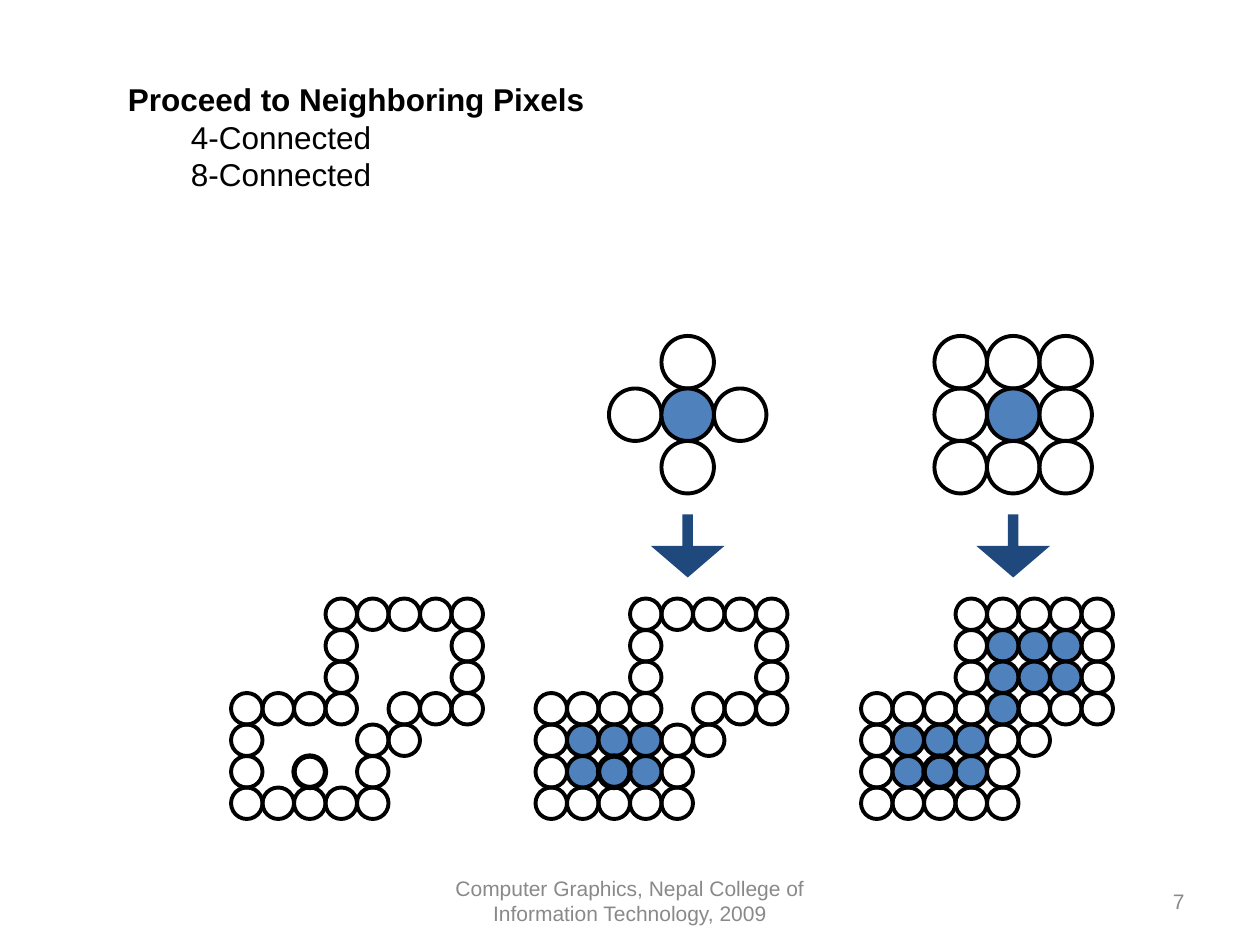
from dataclasses import dataclass
from itertools import product

from pptx import Presentation
from pptx import util as u
from pptx.dml.color import RGBColor
from pptx.enum import shapes, text

SCALE = 7620
CELL, STENCIL_CELL = 30, 50
REGION_TOP, STENCIL_TOP, ARROW_TOP = 570, 370, 490
SEED = (2, 5)
BOUNDARY_ROWS = (
    "...ooooo",
    "...o...o",
    "...o...o",
    "oooo.ooo",
    "o...oo..",
    "o...o...",
    "ooooo...",
)
BOUNDARY = [(column, row) for row, line in enumerate(BOUNDARY_ROWS)
            for column, mark in enumerate(line) if mark == "o"]
EIGHT_NEIGHBORS = [step for step in product((-1, 0, 1), repeat=2) if step != (0, 0)]
FOUR_NEIGHBORS = [step for step in EIGHT_NEIGHBORS if 0 in step]


@dataclass(frozen=True)
class Theme:
    """Colours, font, type sizes and line widths."""
    ink: str = "000000"
    muted: str = "898989"
    pixel: str = "4F81BD"
    arrow: str = "1F497D"
    font: str = "Arial"
    body_size: int = 18
    footer_size: int = 12
    outline: float = 2.25
    seed_outline: float = 3


def px(length):
    """Turn whole px into EMU."""
    return u.Emu(length * SCALE)


def apply(target, values):
    """Set each named attribute on the target."""
    for name, value in values.items():
        setattr(target, name, value)


def flood(neighbors):
    """Return the pixels reached from the seed inside the boundary."""
    reached, pending = {SEED}, [SEED]
    while pending:
        column, row = pending.pop()
        for across, down in neighbors:
            pixel = (column + across, row + down)
            if pixel not in reached and pixel not in BOUNDARY:
                reached.add(pixel)
                pending.append(pixel)
    return sorted(reached)


class SlideBuilder:
    """Draws themed elements on the current slide."""

    def __init__(self, slide, theme):
        """Keep the slide and its theme."""
        self.slide = slide
        self.theme = theme

    def text_box(self, box, lines, size, color, frame_format, alignment):
        """Add a text box of (wording, bold, indent) lines."""
        shape = self.slide.shapes.add_textbox(*map(px, box))
        frame = shape.text_frame
        apply(frame, {"word_wrap": True, **frame_format})
        for index, (wording, bold, indent) in enumerate(lines):
            paragraph = frame.add_paragraph() if index else frame.paragraphs[0]
            apply(paragraph, {"alignment": alignment, "level": int(indent > 0)})
            paragraph._p.get_or_add_pPr().set("marL", str(px(indent)))
            run = paragraph.add_run()
            run.text = wording
            apply(run.font, {"name": self.theme.font, "size": u.Pt(size), "bold": bold})
            run.font.color.rgb = RGBColor.from_string(color)

    def shape(self, kind, box, fill=None, outline=None):
        """Add a preset shape with an optional fill and outline."""
        shape = self.slide.shapes.add_shape(kind, *map(px, box))
        shape.shadow.inherit = False
        for paint, color in ((shape.fill, fill), (shape.line.fill, outline and self.theme.ink)):
            if color:
                paint.solid()
                paint.fore_color.rgb = RGBColor.from_string(color)
            else:
                paint.background()
        if outline:
            shape.line.width = u.Pt(outline)
        return shape

    def circles(self, left, top, size, cells, fill=None, outline=None):
        """Add one circle for each (column, row) cell."""
        for column, row in cells:
            box = (left + column * size, top + row * size, size, size)
            self.shape(shapes.MSO_SHAPE.OVAL, box, fill, outline or self.theme.outline)

    def stencil(self, left, neighbors):
        """Add a centre pixel with its neighbors."""
        self.circles(left, STENCIL_TOP, STENCIL_CELL, neighbors)
        self.circles(left, STENCIL_TOP, STENCIL_CELL, [(0, 0)], self.theme.pixel)

    def region(self, left, filled=()):
        """Add the boundary, its filled pixels and the seed."""
        self.circles(left, REGION_TOP, CELL, BOUNDARY)
        self.circles(left, REGION_TOP, CELL, filled, self.theme.pixel)
        self.circles(left, REGION_TOP, CELL, [SEED], outline=self.theme.seed_outline)

    def arrow(self, left):
        """Add a down arrow."""
        box = (left, ARROW_TOP, 70, 60)
        shape = self.shape(shapes.MSO_SHAPE.DOWN_ARROW, box, self.theme.arrow)
        shape.adjustments[0] = 0.144
        shape.adjustments[1] = 0.5


def main():
    """Build and save the slide."""
    presentation = Presentation()
    apply(presentation, {"slide_width": px(1200), "slide_height": px(900)})
    theme = Theme()
    builder = SlideBuilder(presentation.slides.add_slide(presentation.slide_layouts[6]), theme)

    align = text.PP_ALIGN
    middle = {"vertical_anchor": text.MSO_ANCHOR.MIDDLE}
    for box, wording, alignment in (
        ((410, 834, 380, 48),
         "Computer Graphics, Nepal College of Information Technology, 2009", align.CENTER),
        ((860, 834, 280, 48), "7", align.RIGHT),
    ):
        builder.text_box(box, [(wording, False, 0)], theme.footer_size, theme.muted,
                         middle, alignment)

    heading = [("Proceed to Neighboring Pixels", True, 0),
               ("4-Connected", False, 60),
               ("8-Connected", False, 60)]
    builder.text_box((110, 70, 600, 121), heading, theme.body_size, theme.ink,
                     {"auto_size": text.MSO_AUTO_SIZE.SHAPE_TO_FIT_TEXT}, align.LEFT)

    builder.region(220)
    for left, neighbors in ((630, FOUR_NEIGHBORS), (940, EIGHT_NEIGHBORS)):
        builder.stencil(left, neighbors)
        builder.region(left - 120, flood(neighbors))
        builder.arrow(left - 10)

    presentation.save("out.pptx")


if __name__ == "__main__":
    main()
